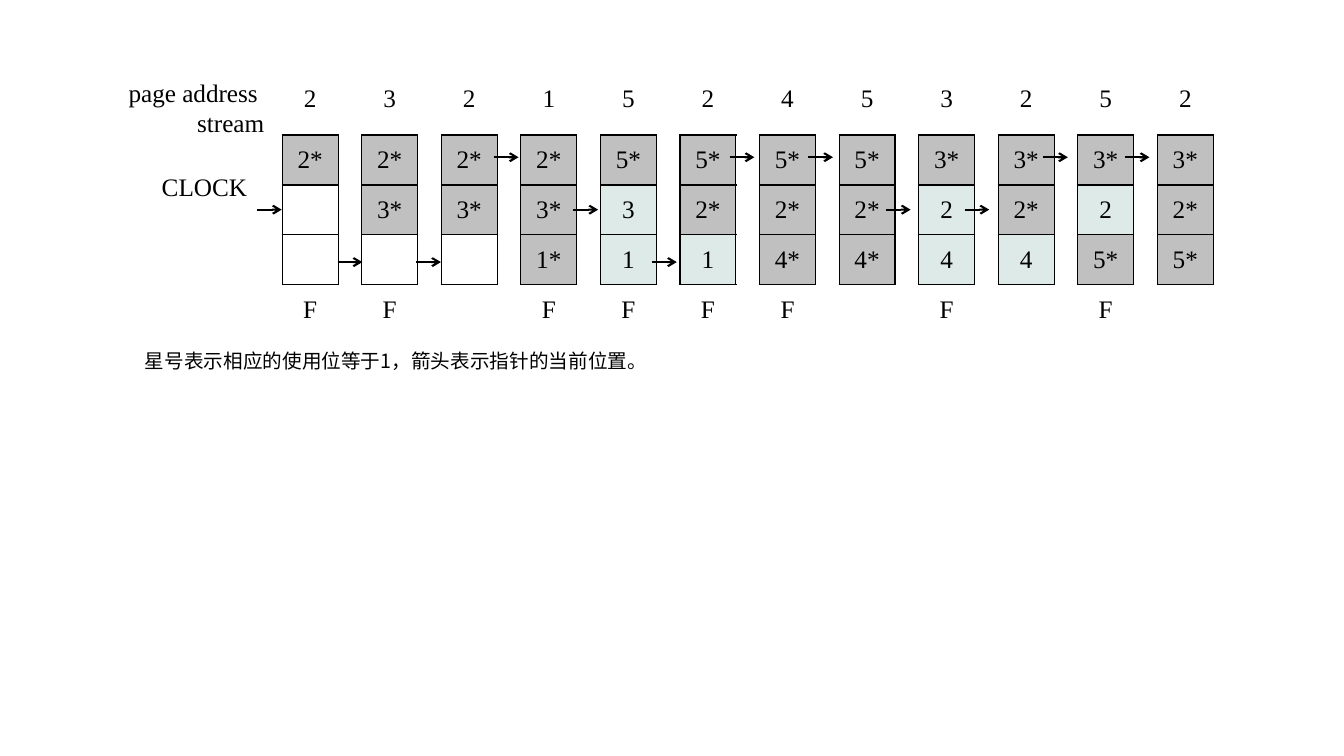
from lxml import etree
from pptx import Presentation
from pptx import util as u
from pptx.dml.color import RGBColor
from pptx.enum import shapes, text
from pptx.oxml import ns

PX = u.Inches(1) // 200
BLACK = RGBColor(0x00, 0x00, 0x00)
USED = RGBColor(0xBF, 0xC0, 0xBF)
UNUSED = RGBColor(0xDD, 0xEA, 0xE7)
SERIF = "Times New Roman"
CJK = "Noto Sans CJK SC"
NO_STYLE = "{2D5ABB26-0587-4C30-8999-92F81FD0307C}"
RIGHT, CENTER = text.PP_ALIGN.RIGHT, text.PP_ALIGN.CENTER

STREAM = "232152453252"
FRAMES = [
    ["2*", "2*", "2*", "2*", "5*", "5*", "5*", "5*", "3*", "3*", "3*", "3*"],
    ["", "3*", "3*", "3*", "3", "2*", "2*", "2*", "2", "2*", "2", "2*"],
    ["", "", "", "1*", "1", "1", "4*", "4*", "4", "4", "5*", "5*"],
]
FAULTS = ["F" if i in (0, 1, 3, 4, 5, 6, 8, 10) else "" for i in range(12)]
POINTERS = [(510, 1), (670, 2), (826, 2), (980, 0), (1138, 1), (1294, 2),
            (1448, 0), (1604, 0), (1758, 1), (1914, 1), (2070, 0), (2232, 0)]


def write(tf, lines, size=18, font=SERIF, color=BLACK, align=None):
    for i, line in enumerate(lines):
        p = tf.add_paragraph() if i else tf.paragraphs[0]
        p.alignment = align
        r = p.add_run()
        r.text = line
        r.font.size = u.Pt(size)
        r.font.color.rgb = color
        r.font.name = font
        etree.SubElement(r._r.get_or_add_rPr(), ns.qn("a:ea"), typeface=font)


def add_label(s, box, lines, **fmt):
    tf = s.shapes.add_textbox(*(v * PX for v in box)).text_frame
    tf.word_wrap = True
    write(tf, lines, **fmt)


def set_borders(cell, sides):
    tcPr = cell._tc.get_or_add_tcPr()
    for i, side in enumerate("LRTB"):
        shown = side in sides
        ln = etree.Element(ns.qn("a:ln" + side), w=str(u.Pt(1)))
        fill = etree.SubElement(ln, ns.qn("a:solidFill" if shown else "a:noFill"))
        if shown:
            etree.SubElement(fill, ns.qn("a:srgbClr"), val=str(BLACK))
        tcPr.insert(i, ln)


def add_frame_table(s, box, gap=47, header_height=110):
    x, y, w, h = box
    steps = len(STREAM)
    rows = [list(STREAM), *FRAMES, FAULTS]
    last = len(rows) - 1
    frame = s.shapes.add_table(len(rows), 2 * steps - 1, *(v * PX for v in box))
    tbl = frame.table
    tbl.first_row = tbl.horz_banding = False
    frame._element.find(".//" + ns.qn("a:tableStyleId")).text = NO_STYLE
    step_width = (w - gap * (steps - 1)) // steps
    for i, col in enumerate(tbl.columns):
        col.width = (gap if i % 2 else step_width) * PX
    for i, row in enumerate(tbl.rows):
        row.height = (header_height if i == 0 else (h - header_height) // last) * PX
        for j in range(2 * steps - 1):
            cell = tbl.cell(i, j)
            in_frame = 0 < i < last
            cell.fill.background()
            if j % 2:
                cell.margin_left = cell.margin_right = 0
                set_borders(cell, "LR" if in_frame else "")
                continue
            value = rows[i][j // 2]
            if i:
                cell.vertical_anchor = text.MSO_ANCHOR.MIDDLE
            if value:
                write(cell.text_frame, [value], align=CENTER)
            if in_frame and value:
                cell.fill.solid()
                cell.fill.fore_color.rgb = USED if "*" in value else UNUSED
            set_borders(cell, "LRTB" if in_frame else "T" if i else "B")


def add_pointers(s, top, pitch=104, length=49):
    for x, row in POINTERS:
        y = (top + row * pitch) * PX
        c = s.shapes.add_connector(shapes.MSO_CONNECTOR.STRAIGHT,
                                   x * PX, y, (x + length) * PX, y)
        c.line.color.rgb = BLACK
        c.line.width = u.Pt(1.5)
        etree.SubElement(c.line._get_or_add_ln(), ns.qn("a:tailEnd"), type="arrow")
        etree.SubElement(c._element.spPr, ns.qn("a:effectLst"))


def build_clock_slide(prs):
    s = prs.slides.add_slide(prs.slide_layouts[6])
    add_label(s, (234, 144, 310, 142), ["page address ", "stream"], align=RIGHT)
    add_frame_table(s, (560, 158, 1849, 506))
    add_label(s, (268, 330, 242, 80), ["CLOCK"], align=RIGHT)
    add_pointers(s, 312)
    add_label(s, (268, 682, 1092, 68),
              ["星号表示相应的使用位等于1，箭头表示指针的当前位置。"], size=14, font=CJK)


def main():
    prs = Presentation()
    prs.slide_width, prs.slide_height = 2667 * PX, 1500 * PX
    build_clock_slide(prs)
    prs.save("out.pptx")


if __name__ == "__main__":
    main()
